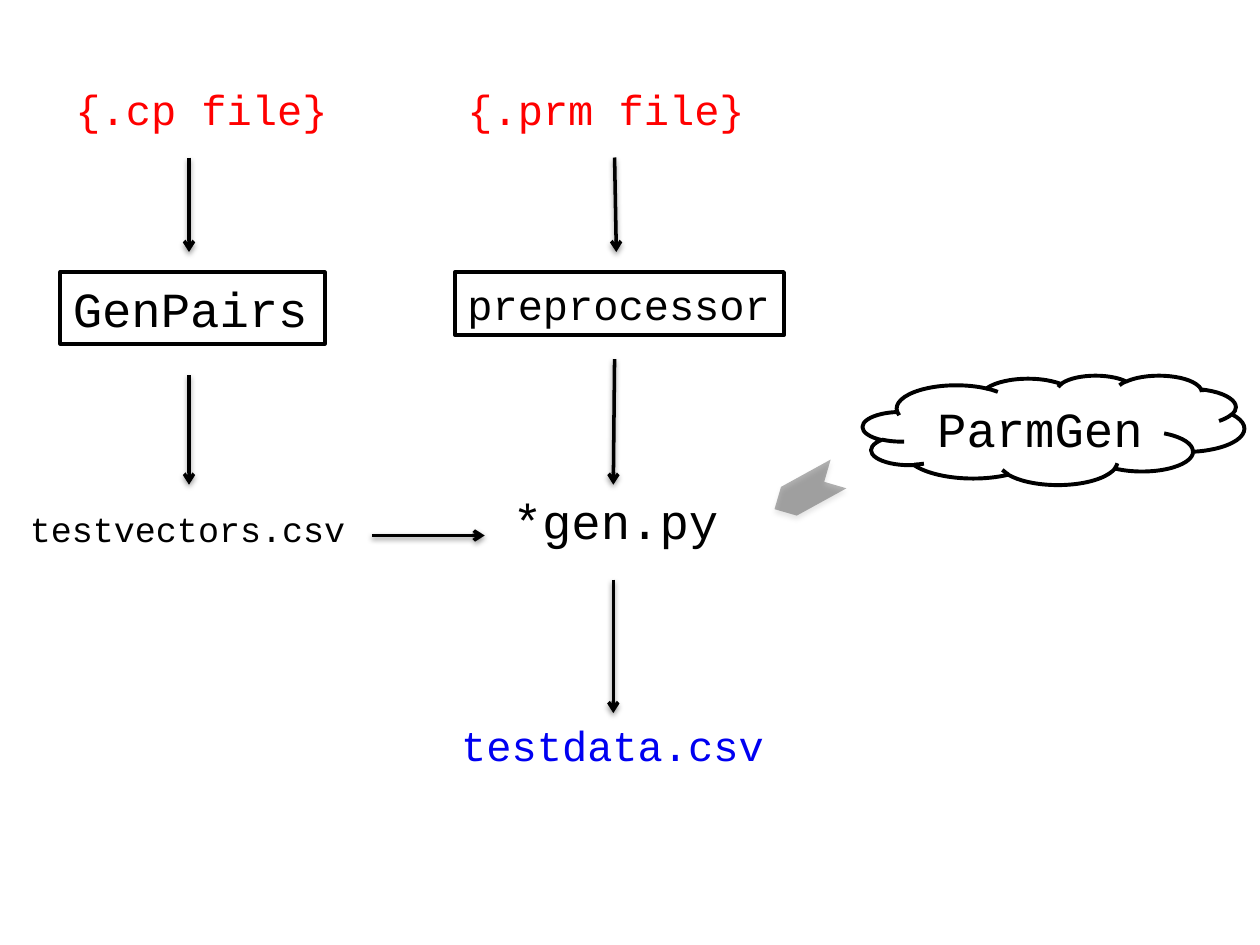
from dataclasses import dataclass
from typing import Optional

import pptx
import pptx.dml.color
import pptx.enum.shapes
import pptx.enum.text
import pptx.oxml
import pptx.oxml.ns
import pptx.util
from lxml import etree

Pt = pptx.util.Pt
RGBColor = pptx.dml.color.RGBColor
Preset = pptx.enum.shapes.MSO_SHAPE
qn = pptx.oxml.ns.qn

BLACK = RGBColor(0x00, 0x00, 0x00)
RED = RGBColor(0xFF, 0x00, 0x00)
BLUE = RGBColor(0x00, 0x00, 0xF1)
FONT = "Courier New"


@dataclass(frozen=True)
class Node:
    """A labelled step; without an outline it is plain text."""
    text: str
    left: float
    top: float
    width: float
    height: float
    size: float
    color: RGBColor = BLACK
    outline: Optional[Preset] = None


@dataclass(frozen=True)
class Arrow:
    """A flow arrow between two points."""
    x1: float
    y1: float
    x2: float
    y2: float


NODES = [
    Node("{.cp file}", 36, 44, 193, 36, 24, RED),
    Node("{.prm file}", 260, 44, 207, 36, 24, RED),
    Node("GenPairs", 34.5, 155.5, 151, 41, 28, outline=Preset.RECTANGLE),
    Node("preprocessor", 260, 155.5, 188, 36, 24, outline=Preset.RECTANGLE),
    Node("testvectors.csv", 10, 286.5, 235.5, 31.5, 20),
    Node("*gen.py", 286, 277, 150, 41, 28),
    Node("ParmGen", 493, 214.5, 218, 62.5, 28, outline=Preset.CLOUD),
    Node("testdata.csv", 256.5, 407.5, 199.5, 36, 24, BLUE),
]

ARROWS = [
    Arrow(108, 90, 108, 144),
    Arrow(351.2, 90, 352.2, 144),
    Arrow(351.2, 205.2, 350.5, 277),
    Arrow(108, 214.5, 108, 277),
    Arrow(212.5, 306, 277, 306),
    Arrow(350.5, 331.2, 350.5, 407.5),
]


def add_shadow(shape, opacity: int, distance: float) -> None:
    """Cast a soft black shadow straight down."""
    properties = shape._element.spPr
    effects = etree.SubElement(properties, qn("a:effectLst"))
    shadow = etree.SubElement(
        effects, qn("a:outerShdw"), blurRad=str(Pt(3.1)), dist=str(Pt(distance)),
        dir="5400000", rotWithShape="0")
    color = etree.SubElement(shadow, qn("a:srgbClr"), val=str(BLACK))
    etree.SubElement(color, qn("a:alpha"), val=str(opacity * 1000))


def add_node(slide, node: Node) -> None:
    """Draw one labelled step."""
    box = [Pt(value) for value in (node.left, node.top, node.width, node.height)]
    if node.outline is None:
        shape = slide.shapes.add_textbox(*box)
    else:
        shape = slide.shapes.add_shape(node.outline, *box)
        shape.shadow.inherit = False
        shape.fill.background()
        shape.line.color.rgb = BLACK
        shape.line.width = Pt(2.25)
    frame = shape.text_frame
    frame.word_wrap = True
    frame.auto_size = pptx.enum.text.MSO_AUTO_SIZE.SHAPE_TO_FIT_TEXT
    paragraph = frame.paragraphs[0]
    centered = node.outline == Preset.CLOUD
    alignment = pptx.enum.text.PP_ALIGN
    paragraph.alignment = alignment.CENTER if centered else alignment.LEFT
    run = paragraph.add_run()
    run.text = node.text
    run.font.name = FONT
    run.font.size = Pt(node.size)
    run.font.color.rgb = node.color


def add_arrow(slide, arrow: Arrow) -> None:
    """Draw one flow arrow with an open head at its end."""
    connector = slide.shapes.add_connector(
        pptx.enum.shapes.MSO_CONNECTOR.STRAIGHT,
        Pt(arrow.x1), Pt(arrow.y1), Pt(arrow.x2), Pt(arrow.y2))
    connector.line.color.rgb = BLACK
    connector.line.width = Pt(2)
    etree.SubElement(connector.line._get_or_add_ln(), qn("a:tailEnd"), type="arrow")
    add_shadow(connector, 38, 1.6)


def add_chevron(slide) -> None:
    """Draw the translucent chevron that points from the cloud to the script."""
    chevron = slide.shapes.add_shape(
        Preset.CHEVRON, Pt(440), Pt(271.5), Pt(41.75), Pt(18.75))
    chevron.rotation = 151.2
    chevron.fill.solid()
    chevron.fill.fore_color.rgb = BLACK
    color = chevron._element.spPr.find(qn("a:solidFill")).find(qn("a:srgbClr"))
    etree.SubElement(color, qn("a:alpha"), val="30000")
    chevron.line.fill.background()
    add_shadow(chevron, 35, 1.8)


def main() -> None:
    """Build the slide and save it."""
    presentation = pptx.Presentation()
    presentation.slide_width = Pt(720)
    presentation.slide_height = Pt(540)
    slide = presentation.slides.add_slide(presentation.slide_layouts[6])
    for node in NODES:
        add_node(slide, node)
    for arrow in ARROWS:
        add_arrow(slide, arrow)
    add_chevron(slide)
    presentation.save("out.pptx")


main()
